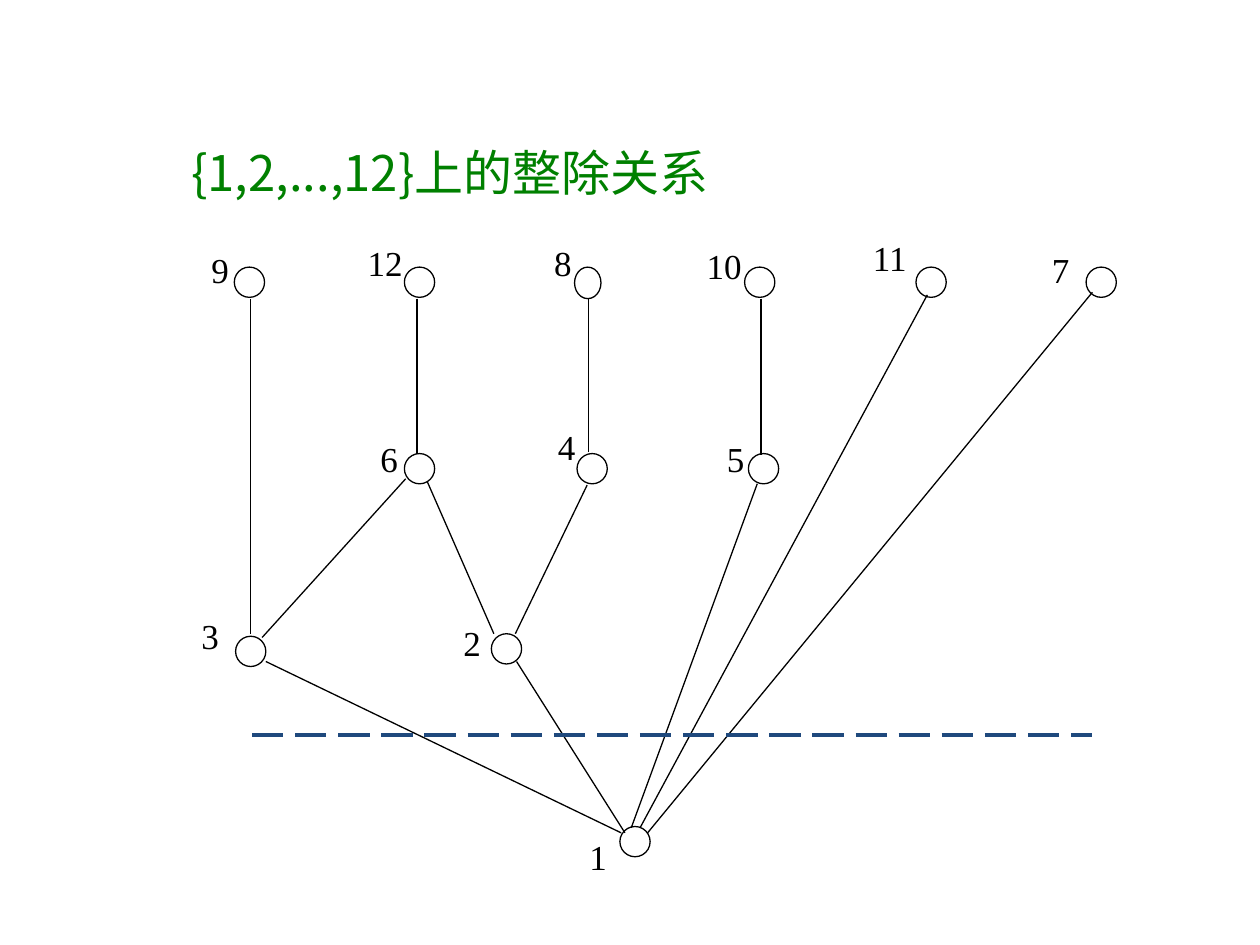
from lxml.etree import SubElement
from pptx import Presentation
from pptx.dml.color import RGBColor
from pptx.enum.dml import MSO_LINE
from pptx.enum.shapes import MSO_CONNECTOR, MSO_SHAPE
from pptx.enum.text import PP_ALIGN
from pptx.oxml.ns import qn
from pptx.util import Inches, Pt

COLORS = {"paper": "FFFFFF", "ink": "000000", "title": "008000", "cut": "1F497D"}
NODE_SIZE = 0.24
TOP, MIDDLE = 0.29, 1.77  # shared node rows, from the top of the diagram

# Positions are in inches from the diagram's top left corner.
# number: (node left, node top, label left, label top, label width, label height)
NODES = {
    9: (0.36, TOP, 0.08, 0.09, 0.45, 0.42),
    12: (1.71, TOP, 1.32, 0.04, 0.51, 0.51),
    8: (3.06, TOP, 2.8, 0.04, 0.84, 0.9),
    10: (4.41, TOP, 4.01, 0.06, 0.49, 0.49),
    11: (5.77, TOP, 5.33, 0, 0.58, 0.67),
    7: (7.12, TOP, 6.75, 0.09, 0.78, 1.02),
    6: (1.71, MIDDLE, 1.42, 1.59, 0.77, 0.92),
    4: (3.08, MIDDLE, 2.83, 1.5, 0.63, 0.81),
    5: (4.44, MIDDLE, 4.17, 1.59, 0.78, 1.02),
    3: (0.37, 3.22, 0, 3, 0.48, 0.51),
    2: (2.4, 3.2, 2.08, 3.05, 0.5, 0.7),
    1: (3.42, 4.73, 3.08, 4.75, 0.66, 0.49),
}
NODE_SIZES = {8: (0.21, 0.25)}

# (multiple, divisor): (start x, start y, end x, end y)
EDGES = {
    (9, 3): (0.49, 0.54, 0.49, 3.2),
    (12, 6): (1.81, 0.54, 1.81, 1.77),
    (6, 2): (1.89, 1.99, 2.42, 3.2),
    (6, 3): (1.72, 1.97, 0.58, 3.23),
    (4, 2): (3.16, 2.02, 2.59, 3.2),
    (8, 4): (3.17, 0.54, 3.17, 1.76),
    (10, 5): (4.54, 0.54, 4.54, 1.78),
    (3, 1): (0.61, 3.42, 3.43, 4.78),
    (2, 1): (2.6, 3.42, 3.46, 4.78),
    (5, 1): (4.51, 2.01, 3.51, 4.74),
    (11, 1): (5.86, 0.51, 3.58, 4.74),
    (7, 1): (7.17, 0.49, 3.64, 4.78),
}
CUT = (0.5, 4, 7.17, 4)


def color(name):
    return RGBColor.from_string(COLORS[name])


def add_text(slide, text, left, top, width, height, size, font, color_name):
    box = slide.shapes.add_textbox(Inches(left), Inches(top), Inches(width), Inches(height))
    box.text_frame.word_wrap = True
    paragraph = box.text_frame.paragraphs[0]
    paragraph.text = text
    paragraph.font.size = Pt(size)
    paragraph.font.name = font
    paragraph.font.color.rgb = color(color_name)
    return paragraph


def add_line(slide, left, top, points, color_name="ink", width=0.75):
    x1, y1, x2, y2 = points
    line = slide.shapes.add_connector(
        MSO_CONNECTOR.STRAIGHT,
        Inches(left + x1), Inches(top + y1), Inches(left + x2), Inches(top + y2))
    line.line.color.rgb = color(color_name)
    line.line.width = Pt(width)
    SubElement(line._element.spPr, qn("a:effectLst"))
    return line


def add_node(slide, left, top, width, height):
    node = slide.shapes.add_shape(
        MSO_SHAPE.OVAL, Inches(left), Inches(top), Inches(width), Inches(height))
    node.shadow.inherit = False
    node.fill.solid()
    node.fill.fore_color.rgb = color("paper")
    node.line.color.rgb = color("ink")
    node.line.width = Pt(0.75)


def add_title(slide, left, top, width, height):
    font = "Noto Sans CJK SC"
    paragraph = add_text(slide, "{1,2,...,12}上的整除关系",
                         left, top, width, height, 28, font, "title")
    for run in paragraph.runs:
        SubElement(run._r.get_or_add_rPr(), qn("a:ea"), typeface=font)


def add_hasse_diagram(slide, left, top):
    for number, (x, y, *_) in NODES.items():
        add_node(slide, left + x, top + y,
                 *NODE_SIZES.get(number, (NODE_SIZE, NODE_SIZE)))
    for points in EDGES.values():
        add_line(slide, left, top, points)
    for number, (_, _, x, y, width, height) in NODES.items():
        label = add_text(slide, str(number), left + x, top + y, width, height,
                         20, "Times New Roman", "ink")
        label.alignment = PP_ALIGN.JUSTIFY
    cut = add_line(slide, left, top, CUT, "cut", 2.25)
    cut.line.dash_style = MSO_LINE.LONG_DASH


def main():
    presentation = Presentation()
    presentation.slide_width = Inches(10)
    presentation.slide_height = Inches(7.5)
    slide = presentation.slides.add_slide(presentation.slide_layouts[6])
    slide.background.fill.solid()
    slide.background.fill.fore_color.rgb = color("paper")
    add_hasse_diagram(slide, 1.5, 1.83)
    add_title(slide, 1.42, 1.08, 4.33, 0.57)
    presentation.save("out.pptx")


if __name__ == "__main__":
    main()
